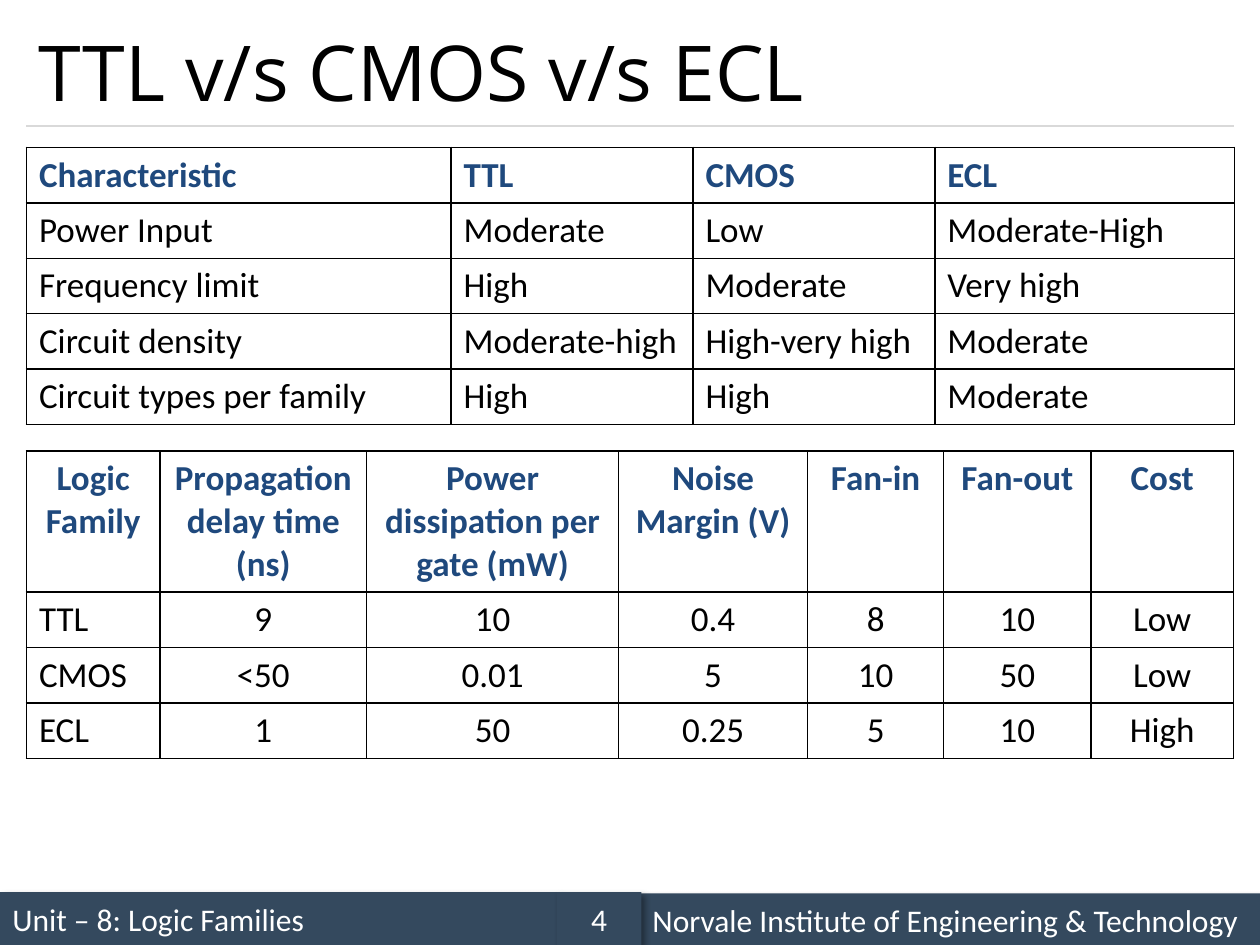
from lxml.etree import SubElement
from pptx import Presentation
from pptx.dml.color import RGBColor
from pptx.enum.shapes import MSO_CONNECTOR, MSO_SHAPE
from pptx.enum.text import MSO_ANCHOR, PP_ALIGN
from pptx.oxml import parse_xml
from pptx.oxml.ns import nsdecls, qn
from pptx.util import Inches, Pt

COLORS = {"ink": "000000", "heading": "1F497D", "footer": "34495E",
          "rule": "D9D9D9", "white": "FFFFFF"}
MARGIN, CONTENT_WIDTH, ROW_HEIGHT = 0.21, 9.58, 0.44


def rgb(name):
    return RGBColor.from_string(COLORS[name])


def write(frame, text, size, color, font="Calibri", bold=False, align=PP_ALIGN.LEFT):
    frame.text = text
    paragraph = frame.paragraphs[0]
    paragraph.alignment = align
    style = paragraph.runs[0].font
    style.size, style.name, style.bold = Pt(size), font, bold
    style.color.rgb = rgb(color)


deck = Presentation()
deck.slide_width, deck.slide_height = Inches(10), Inches(7.5)
slide = deck.slides.add_slide(deck.slide_layouts[6])

footer_parts = [
    (0, 7.08, 4.42, "Unit – 8: Logic Families", PP_ALIGN.LEFT),
    (5.08, 7.09, 4.92, "Norvale Institute of Engineering & Technology", PP_ALIGN.LEFT),
    (4.42, 7.08, 0.67, "4", PP_ALIGN.CENTER),
]
for left, top, width, text, align in footer_parts:
    band = slide.shapes.add_shape(MSO_SHAPE.RECTANGLE, Inches(left), Inches(top),
                                  Inches(width), Inches(0.42))
    band.fill.solid()
    band.fill.fore_color.rgb = rgb("footer")
    band.line.fill.background()
    band.shadow.inherit = False
    band.element.spPr.find(qn("a:effectLst")).append(parse_xml(
        f'<a:outerShdw {nsdecls("a")} blurRad="{Pt(4)}" dist="{Pt(3)}" dir="2700000" '
        'algn="tl" rotWithShape="0"><a:srgbClr val="000000"><a:alpha val="40000"/>'
        '</a:srgbClr></a:outerShdw>'))
    band.text_frame.vertical_anchor = MSO_ANCHOR.MIDDLE
    band.text_frame.word_wrap = False
    write(band.text_frame, text, 18, "white", align=align)

rule = slide.shapes.add_connector(MSO_CONNECTOR.STRAIGHT, Inches(MARGIN), Inches(1),
                                  Inches(MARGIN + CONTENT_WIDTH), Inches(1))
rule.line.color.rgb = rgb("rule")
rule.line.width = Pt(0.75)
SubElement(rule.element.spPr, qn("a:effectLst"))

title = slide.shapes.add_textbox(Inches(MARGIN), Inches(0.12),
                                 Inches(CONTENT_WIDTH), Inches(0.88))
title.text_frame.word_wrap = True
title.text_frame.vertical_anchor = MSO_ANCHOR.MIDDLE
write(title.text_frame, "TTL v/s CMOS v/s ECL", 44, "ink", font="Open Sans")

characteristics = [
    ["Characteristic", "TTL", "CMOS", "ECL"],
    ["Power Input", "Moderate", "Low", "Moderate-High"],
    ["Frequency limit", "High", "Moderate", "Very high"],
    ["Circuit density", "Moderate-high", "High-very high", "Moderate"],
    ["Circuit types per family", "High", "High", "Moderate"],
]
families = [
    ["Logic Family", "Propagation delay time (ns)", "Power dissipation per gate (mW)",
     "Noise Margin (V)", "Fan-in", "Fan-out", "Cost"],
    ["TTL", "9", "10", "0.4", "8", "10", "Low"],
    ["CMOS", "<50", "0.01", "5", "10", "50", "Low"],
    ["ECL", "1", "50", "0.25", "5", "10", "High"],
]
comparisons = [
    (1.17, characteristics, [3.37, 1.92, 1.92, 2.38], ROW_HEIGHT, False),
    (3.58, families, [1.06, 1.64, 2, 1.5, 1.08, 1.17, 1.13], 1.12, True),
]
for top, records, widths, header_height, centered in comparisons:
    height = header_height + ROW_HEIGHT * (len(records) - 1)
    table = slide.shapes.add_table(len(records), len(widths), Inches(MARGIN), Inches(top),
                                   Inches(CONTENT_WIDTH), Inches(height)).table
    table.first_row = table.horz_banding = False
    for column, width in zip(table.columns, widths):
        column.width = Inches(width)
    for r, record in enumerate(records):
        is_header = r == 0
        table.rows[r].height = Inches(header_height if is_header else ROW_HEIGHT)
        for c, text in enumerate(record):
            cell = table.cell(r, c)
            align = PP_ALIGN.CENTER if centered and (is_header or c > 0) else PP_ALIGN.LEFT
            write(cell.text_frame, text, 20, "heading" if is_header else "ink",
                  bold=is_header, align=align)
            properties = cell._tc.get_or_add_tcPr()
            for side in "LRTB":
                properties.append(parse_xml(
                    f'<a:ln{side} {nsdecls("a")} w="{Pt(1)}"><a:solidFill>'
                    f'<a:srgbClr val="{COLORS["ink"]}"/></a:solidFill></a:ln{side}>'))
            cell.fill.background()

deck.save("out.pptx")
